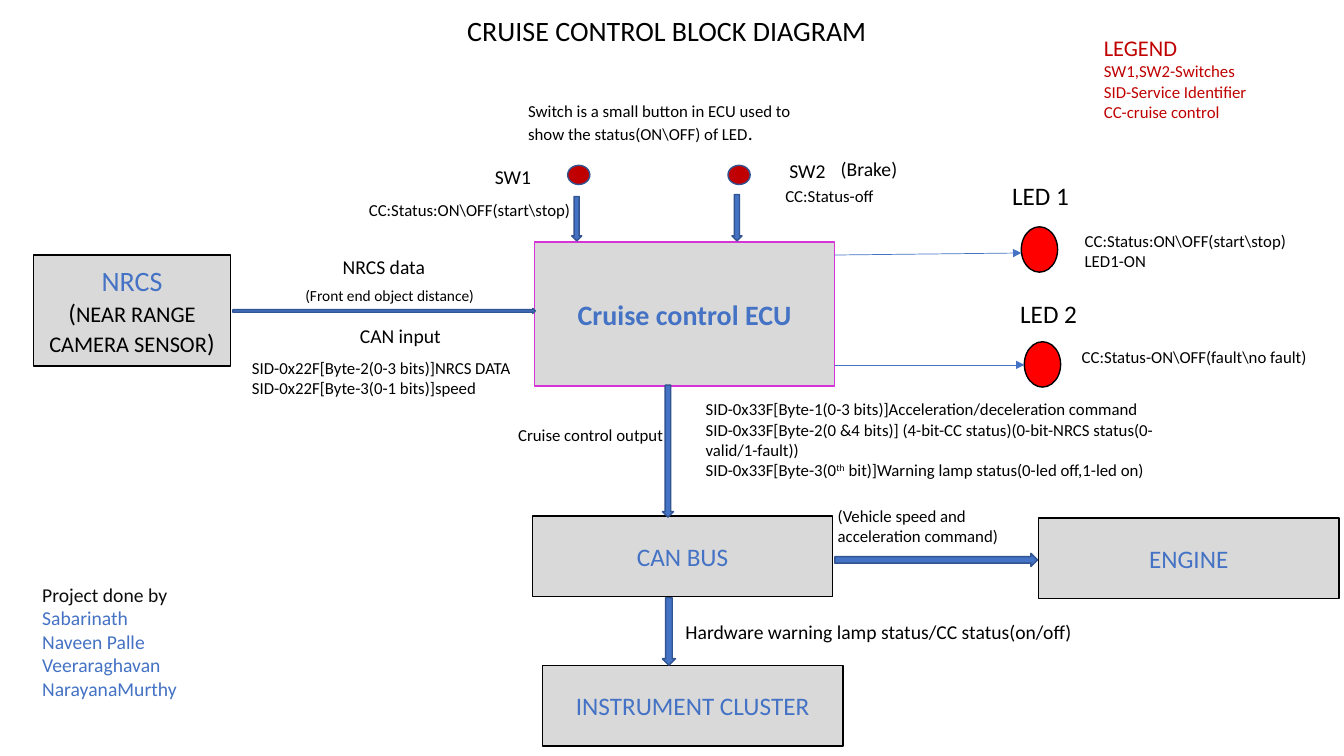
from pptx import Presentation
from pptx.dml.color import RGBColor
from pptx.enum.shapes import MSO_CONNECTOR, MSO_SHAPE
from pptx.enum.text import MSO_ANCHOR, MSO_AUTO_SIZE, PP_ALIGN
from pptx.oxml.ns import qn
from pptx.util import Inches, Pt
from lxml.etree import SubElement

WIDTH, HEIGHT = Inches(13.33), Inches(7.5)
COLUMNS, ROWS = 133.3, 75
FONT = "Calibri"
BLACK = RGBColor(0x00, 0x00, 0x00)
INK = RGBColor(0x0D, 0x0D, 0x0D)
WHITE = RGBColor(0xFF, 0xFF, 0xFF)
GREY = RGBColor(0xD9, 0xD9, 0xD9)
BLUE = RGBColor(0x44, 0x72, 0xC4)
NAVY = RGBColor(0x32, 0x54, 0x91)
MAGENTA = RGBColor(0xD6, 0x33, 0xD6)
MAROON = RGBColor(0xC0, 0x00, 0x00)
RED = RGBColor(0xFF, 0x00, 0x00)


def write(p, text, size=12, color=BLACK, bold=False, baseline=0):
    r = p.add_run()
    r.text = text
    r.font.name = FONT
    r.font.size = Pt(size)
    r.font.color.rgb = color
    r.font.bold = bold
    if baseline:
        r._r.get_or_add_rPr().set("baseline", str(baseline * 1000))


class Diagram:
    def __init__(self, prs):
        self.s = prs.slides.add_slide(prs.slide_layouts[5])
        self.s.background.fill.solid()
        self.s.background.fill.fore_color.rgb = WHITE

    def grid(self, *cells):
        units = (WIDTH / COLUMNS, HEIGHT / ROWS)
        return [round(cell * units[i % 2]) for i, cell in enumerate(cells)]

    def fill_text(self, tf, lines, align, **fmt):
        for i, line in enumerate(lines):
            p = tf.paragraphs[0] if i == 0 else tf.add_paragraph()
            p.alignment = align
            runs = [(line, {})] if isinstance(line, str) else line
            for text, own in runs:
                write(p, text, **{**fmt, **own})

    def title(self, at, text):
        sp = self.s.shapes.title
        sp.left, sp.top, sp.width, sp.height = self.grid(*at)
        tf = sp.text_frame
        tf.word_wrap = True
        tf.auto_size = MSO_AUTO_SIZE.NONE
        tf.vertical_anchor = MSO_ANCHOR.TOP
        self.fill_text(tf, [text], PP_ALIGN.CENTER, size=20)

    def shape(self, kind, at, fill, line):
        sp = self.s.shapes.add_shape(kind, *self.grid(*at))
        sp.shadow.inherit = False
        sp.fill.solid()
        sp.fill.fore_color.rgb = fill
        sp.line.color.rgb = line
        sp.line.width = Pt(1)
        return sp

    def block(self, at, *lines, line=BLACK, **fmt):
        tf = self.shape(MSO_SHAPE.RECTANGLE, at, GREY, line).text_frame
        tf.word_wrap = True
        tf.vertical_anchor = MSO_ANCHOR.MIDDLE
        self.fill_text(tf, lines, PP_ALIGN.CENTER, **{"size": 18, "color": BLUE, **fmt})

    def label(self, at, *lines, wrap=True, **fmt):
        tf = self.s.shapes.add_textbox(*self.grid(*at)).text_frame
        tf.word_wrap = wrap
        self.fill_text(tf, lines, PP_ALIGN.LEFT, **fmt)

    def wire(self, *ends):
        c = self.s.shapes.add_connector(MSO_CONNECTOR.STRAIGHT, *self.grid(*ends))
        c.line.color.rgb = BLUE
        c.line.width = Pt(0.5)
        SubElement(c.line._get_or_add_ln(), qn("a:tailEnd"), type="triangle")
        SubElement(c._element.spPr, qn("a:effectLst"))


def main():
    prs = Presentation()
    prs.slide_width, prs.slide_height = WIDTH, HEIGHT
    d = Diagram(prs)
    d.title((40.8, 0.8, 50.7, 4.4), "CRUISE CONTROL BLOCK DIAGRAM")

    d.block((53, 24, 29.8, 14.3), "Cruise control ECU", line=MAGENTA, size=20, bold=True)
    d.block(
        (3.3, 25.3, 19.6, 11),
        [("NRCS", {"size": 20, "color": BLUE})],
        [("(", {}), ("NEAR RANGE CAMERA SENSOR", {"size": 16}), (")", {})],
        color=BLACK,
    )
    for x, y, name in [
        (52.8, 51.2, "CAN BUS"),
        (53.8, 66, "INSTRUMENT CLUSTER"),
        (103, 51.4, "ENGINE"),
    ]:
        d.block((x, y, 29.8, 8), name)

    for at in [(23.1, 30.6, 30, 0.5), (82.8, 54.9, 20.1, 1.3)]:
        d.shape(MSO_SHAPE.RIGHT_ARROW, at, BLUE, NAVY)
    for at in [
        (56.7, 19.5, 1, 4.4),
        (72.6, 19.3, 1, 4.6),
        (65.7, 38.2, 1.1, 13.1),
        (65.7, 59.3, 1.3, 6.7),
    ]:
        d.shape(MSO_SHAPE.DOWN_ARROW, at, BLUE, NAVY)
    for x in (56.3, 72.2):
        d.shape(MSO_SHAPE.OVAL, (x, 16.4, 2.2, 1.9), MAROON, NAVY)
    for x, y in [(101.3, 22.5), (101.6, 33.9)]:
        d.shape(MSO_SHAPE.OVAL, (x, y, 3.6, 4.5), RED, BLACK)
    d.wire(82.8, 25.3, 101.3, 25.1)
    d.wire(82.8, 36.2, 101.6, 36.2)

    d.label((34.7, 31.6, 12.1, 3.4), "CAN input", size=14)
    d.label((29.3, 27.9, 20.4, 2.9), "(Front end object distance)", size=11)
    d.label((33, 24.8, 10.3, 3.4), "NRCS data", size=14, wrap=False)
    d.label((48.1, 15.9, 7.3, 3.4), "SW1", size=14)
    d.label((77.3, 15.3, 11.4, 3.4), "SW2", size=14)
    d.label((82.4, 15.1, 10, 3.4), "(Brake)", size=14)
    d.label(
        (51.4, 9.5, 31.7, 5.4),
        [
            ("Switch is a small button in ECU used to show the status(ON\\OFF) of LED", {}),
            (".", {"size": 14}),
        ],
    )
    d.label((35.6, 19.3, 22.9, 5), "CC:Status:ON\\OFF(start\\stop)")
    d.label((76.9, 17.9, 13.9, 5), "CC:Status-off")
    d.label((99.4, 17.4, 8.3, 4), "LED 1", size=18)
    d.label((100.2, 29.1, 8.3, 4), "LED 2", size=18)
    d.label((106.6, 22.4, 22.5, 5), "CC:Status:ON\\OFF(start\\stop)", "LED1-ON")
    d.label((106.3, 33.9, 25.1, 3), "CC:Status-ON\\OFF(fault\\no fault)")
    d.label(
        (24, 35, 27.9, 5),
        "SID-0x22F[Byte-2(0-3 bits)]NRCS DATA",
        "SID-0x22F[Byte-3(0-1 bits)]speed",
    )
    d.label((50.4, 41.6, 20.1, 3), "Cruise control output")
    d.label(
        (69, 39.1, 46.8, 9.1),
        "SID-0x33F[Byte-1(0-3 bits)]Acceleration/deceleration command",
        "SID-0x33F[Byte-2(0 &4 bits)] (4-bit-CC status)(0-bit-NRCS status(0-valid/1-fault))",
        [
            ("SID-0x33F[Byte-3(0", {}),
            ("th", {"baseline": 30}),
            (" bit)]Warning lamp status(0-led off,1-led on)", {}),
        ],
    )
    d.label((82.1, 49.7, 19.2, 5), "(Vehicle speed and acceleration command)")
    d.label((67, 61, 40.6, 3.4), "Hardware warning lamp status/CC status(on/off)", size=14)
    d.label(
        (108.5, 2.9, 20.6, 9.8),
        [("LEGEND", {"size": 16})],
        "SW1,SW2-Switches",
        "SID-Service Identifier",
        "CC-cruise control",
        color=MAROON,
    )
    d.label(
        (3.2, 57.3, 19.6, 15.8),
        [("Project done by", {"color": INK})],
        "Sabarinath",
        "Naveen Palle",
        "Veeraraghavan",
        "NarayanaMurthy",
        size=14,
        color=BLUE,
    )
    prs.save("out.pptx")


if __name__ == "__main__":
    main()
